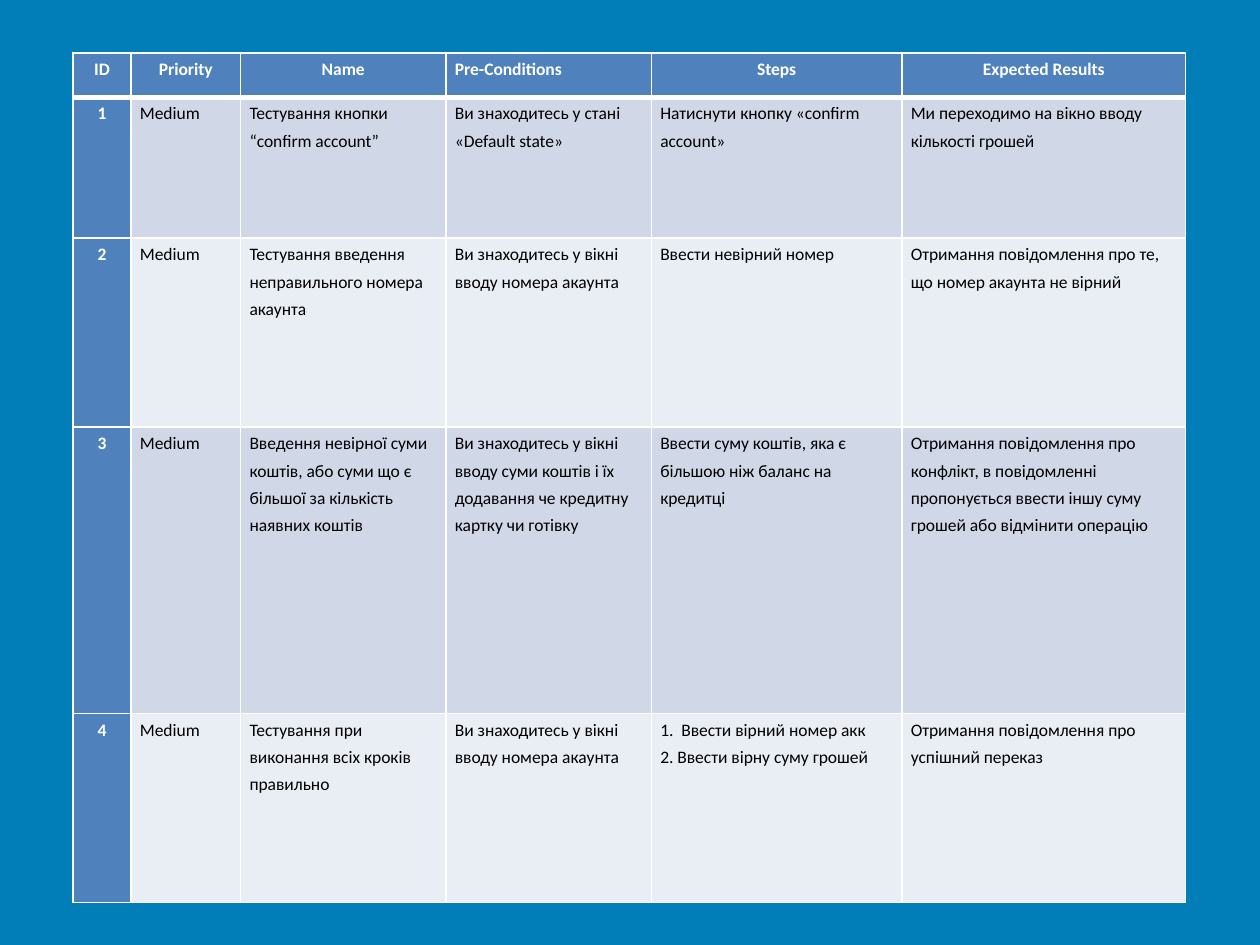
from dataclasses import dataclass

from lxml.etree import SubElement
from pptx import Presentation
from pptx.dml.color import RGBColor as Rgb
from pptx.enum.text import PP_ALIGN as Align
from pptx.oxml.ns import qn
from pptx.util import Cm, Pt


@dataclass(frozen=True)
class Theme:
    background: str = "017EB8"
    header: str = "4F81BD"
    bands: tuple = ("D0D8E8", "E9EDF4")
    border: str = "FFFFFF"
    header_text: str = "FFFFFF"
    body_text: str = "000000"
    font: str = "Calibri"
    size: float = 10
    line_spacing: float = 1.29
    thin: float = 1
    thick: float = 3


THEME = Theme()
COLUMN_WIDTHS = (1.17, 2.21, 4.14, 4.14, 5.05, 5.72)
ROW_HEIGHTS = (0.89, 2.84, 3.81, 5.77, 3.81)
CELL_FORMAT = {"margin_left": Cm(0.18), "margin_right": Cm(0.18),
               "margin_top": 0, "margin_bottom": 0}

HEADINGS = ("ID", "Priority", "Name", "Pre-Conditions", "Steps", "Expected Results")
LEFT_HEADING = HEADINGS.index("Pre-Conditions")
TEST_CASES = (
    ("1", "Medium", "Тестування кнопки “confirm account”",
     "Ви знаходитесь у стані «Default state»",
     "Натиснути кнопку «confirm account»",
     "Ми переходимо на вікно вводу кількості грошей"),
    ("2", "Medium", "Тестування введення неправильного номера акаунта",
     "Ви знаходитесь у вікні вводу номера акаунта",
     "Ввести невірний номер",
     "Отримання повідомлення про те, що номер акаунта не вірний"),
    ("3", "Medium",
     "Введення невірної суми коштів, або суми що є більшої за кількість наявних коштів",
     "Ви знаходитесь у вікні вводу суми коштів і їх додавання че кредитну картку чи готівку",
     "Ввести суму коштів, яка є більшою ніж баланс на кредитці",
     "Отримання повідомлення про конфлікт, в повідомленні пропонується ввести "
     "іншу суму грошей або відмінити операцію"),
    ("4", "Medium", "Тестування при виконання всіх кроків правильно",
     "Ви знаходитесь у вікні вводу номера акаунта",
     "1.  Ввести вірний номер акк\n2. Ввести вірну суму грошей",
     "Отримання повідомлення про успішний переказ"),
)


def set_format(target, values):
    for attribute, value in values.items():
        setattr(target, attribute, value)


def set_borders(cell, row):
    """Thin borders, with a thick rule between the headings and the cases."""
    widths = {"a:lnL": THEME.thin, "a:lnR": THEME.thin,
              "a:lnT": THEME.thick if row == 1 else THEME.thin,
              "a:lnB": THEME.thick if row == 0 else THEME.thin}
    properties = cell._tc.get_or_add_tcPr()
    for side, width in widths.items():
        line = SubElement(properties, qn(side), w=str(Pt(width)))
        fill = SubElement(line, qn("a:solidFill"))
        SubElement(fill, qn("a:srgbClr"), val=THEME.border)


def fill_cell(cell, text, row, column):
    is_heading = row == 0 or column == 0
    is_centred = is_heading and column != LEFT_HEADING
    set_format(cell, CELL_FORMAT)

    # Borders come before the fill in the cell properties
    set_borders(cell, row)
    background = THEME.header if is_heading else THEME.bands[(row - 1) % 2]
    cell.fill.solid()
    cell.fill.fore_color.rgb = Rgb.from_string(background)

    cell.text = text
    text_colour = THEME.header_text if is_heading else THEME.body_text
    for paragraph in cell.text_frame.paragraphs:
        set_format(paragraph, {"line_spacing": THEME.line_spacing,
                               "alignment": Align.CENTER if is_centred else Align.LEFT})
        for run in paragraph.runs:
            set_format(run.font, {"name": THEME.font, "size": Pt(THEME.size),
                                  "bold": is_heading})
            run.font.color.rgb = Rgb.from_string(text_colour)


def add_test_table(slide):
    rows = (HEADINGS, *TEST_CASES)
    table = slide.shapes.add_table(
        len(rows), len(HEADINGS), Cm(1.47), Cm(1.07),
        Cm(sum(COLUMN_WIDTHS)), Cm(sum(ROW_HEIGHTS))).table
    table.first_col = True

    # Grid
    for column, width in zip(table.columns, COLUMN_WIDTHS):
        column.width = Cm(width)
    for table_row, height in zip(table.rows, ROW_HEIGHTS):
        table_row.height = Cm(height)

    # Contents
    for row, texts in enumerate(rows):
        for column, text in enumerate(texts):
            fill_cell(table.cell(row, column), text, row, column)


def main():
    deck = Presentation()
    set_format(deck, {"slide_width": Cm(25.4), "slide_height": Cm(19.05)})
    slide = deck.slides.add_slide(deck.slide_layouts[6])
    slide.background.fill.solid()
    slide.background.fill.fore_color.rgb = Rgb.from_string(THEME.background)
    add_test_table(slide)
    deck.save("out.pptx")


if __name__ == "__main__":
    main()
